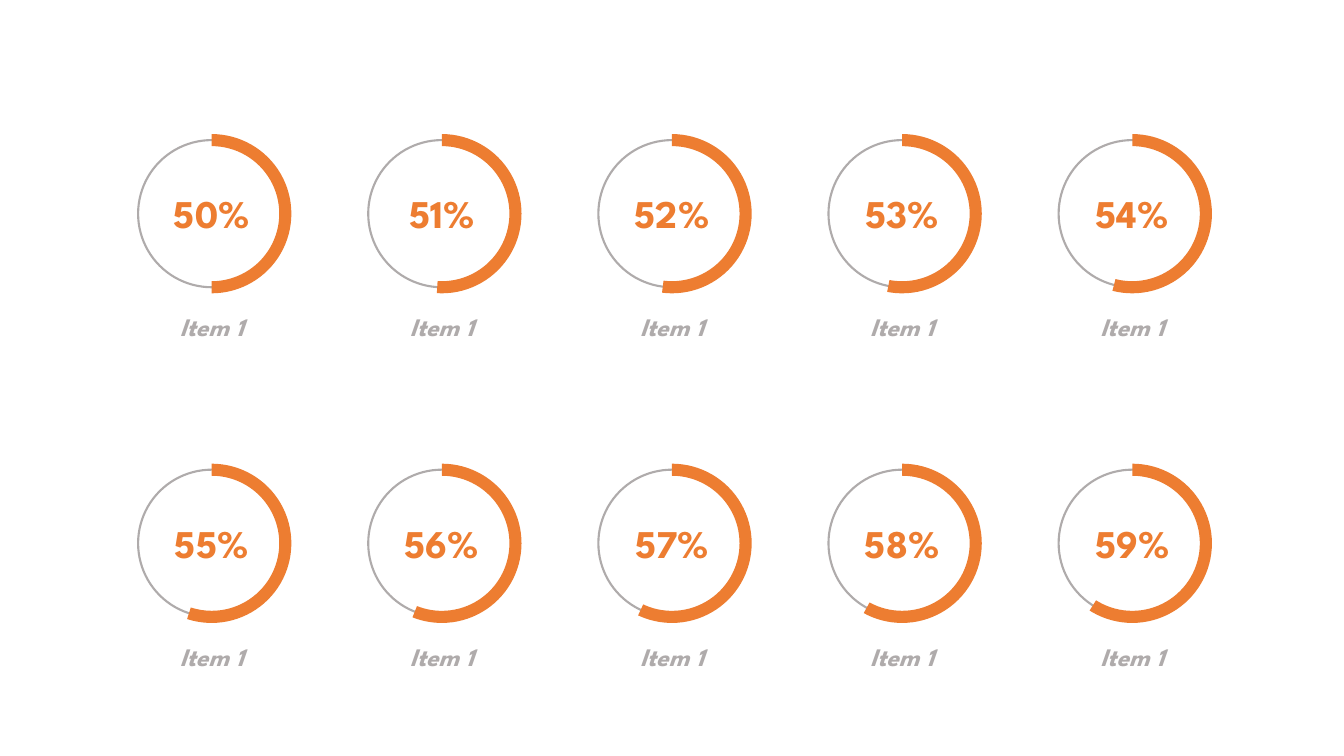
from pptx import Presentation
from pptx.dml.color import RGBColor
from pptx.enum.shapes import MSO_SHAPE as Preset
from pptx.enum.text import MSO_AUTO_SIZE as AutoSize, PP_ALIGN as Align
from pptx.util import Inches, Pt

GAUGE_ROWS = [
    [(50, "Item 1"), (51, "Item 1"), (52, "Item 1"), (53, "Item 1"), (54, "Item 1")],
    [(55, "Item 1"), (56, "Item 1"), (57, "Item 1"), (58, "Item 1"), (59, "Item 1")],
]
ORANGE, GRAY = "ED7D31", "AFABAB"
FONT = "League Spartan"
VALUE_FORMAT = {"name": FONT, "size": Pt(28), "bold": True}
ITEM_FORMAT = {"name": FONT, "size": Pt(18), "bold": True, "italic": True}

# Lengths in inches
FIRST_X, LAST_X = 2.1, 11.23
FIRST_Y, ROW_STEP = 2.12, 3.27
RADIUS, BAND = 0.73, 0.12
VALUE_BOX = (-0.29, 1.5, 0.57)  # top from the gauge centre, width, height
ITEM_BOX = (0.92, 2.24, 0.4)
DEGREE = 0.6  # one degree in the units of a shape adjustment


def color(hex_value):
    return RGBColor.from_string(hex_value)


def add_round(shapes, preset, x, y, radius):
    """Add a shape without shadow whose frame is centred on x, y."""
    shape = shapes.add_shape(preset, Inches(x - radius), Inches(y - radius),
                             Inches(2 * radius), Inches(2 * radius))
    shape.shadow.inherit = False
    return shape


def add_ring(shapes, x, y):
    ring = add_round(shapes, Preset.OVAL, x, y, RADIUS)
    ring.fill.background()
    ring.line.color.rgb = color(GRAY)
    ring.line.width = Pt(1.5)


def add_band(shapes, x, y, percent):
    """Draw the thick arc, clockwise from the top of the ring."""
    radius = RADIUS + BAND / 2
    band = add_round(shapes, Preset.BLOCK_ARC, x, y, radius)
    band.adjustments[0] = 270 * DEGREE
    band.adjustments[1] = (percent * 3.6 - 90) * DEGREE
    band.adjustments[2] = BAND / (2 * radius)
    band.fill.solid()
    band.fill.fore_color.rgb = color(ORANGE)
    band.line.fill.background()


def add_text(shapes, x, y, box, text, font_format, hex_value):
    top, width, height = box
    textbox = shapes.add_textbox(Inches(x - width / 2), Inches(y + top),
                                 Inches(width), Inches(height))
    frame = textbox.text_frame
    frame.word_wrap = True
    frame.auto_size = AutoSize.SHAPE_TO_FIT_TEXT
    paragraph = frame.paragraphs[0]
    paragraph.alignment = Align.CENTER
    run = paragraph.add_run()
    run.text = text
    for name, value in font_format.items():
        setattr(run.font, name, value)
    run.font.color.rgb = color(hex_value)


def main():
    presentation = Presentation()
    presentation.slide_width = Inches(13.33)
    presentation.slide_height = Inches(7.5)
    slide = presentation.slides.add_slide(presentation.slide_layouts[6])
    for row, gauges in enumerate(GAUGE_ROWS):
        y = FIRST_Y + row * ROW_STEP
        column_step = (LAST_X - FIRST_X) / (len(gauges) - 1)
        for column, (percent, item) in enumerate(gauges):
            x = FIRST_X + column * column_step
            shapes = slide.shapes.add_group_shape().shapes
            add_ring(shapes, x, y)
            add_text(shapes, x, y, VALUE_BOX, f"{percent}%", VALUE_FORMAT, ORANGE)
            add_text(shapes, x, y, ITEM_BOX, item, ITEM_FORMAT, GRAY)
            add_band(shapes, x, y, percent)
    presentation.save("out.pptx")


if __name__ == "__main__":
    main()
